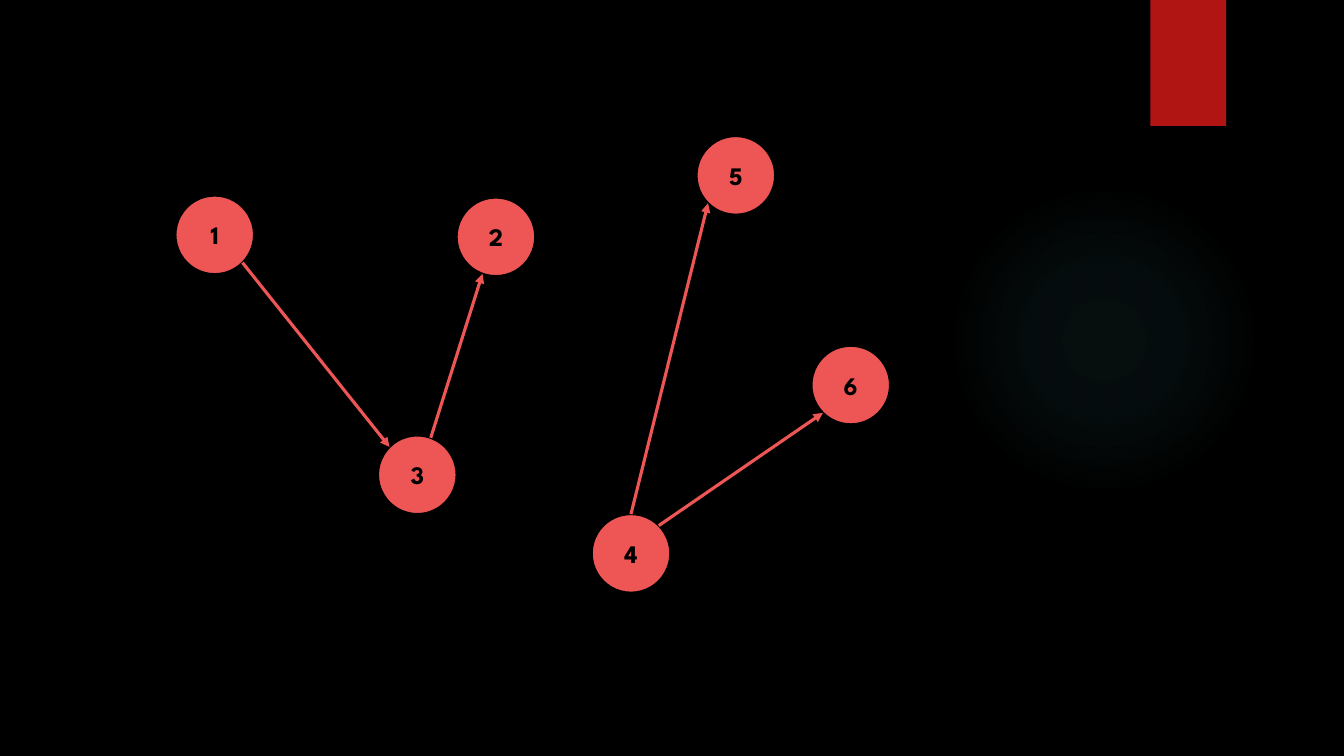
import math
from dataclasses import dataclass

import lxml.etree
import pptx
import pptx.dml.color
import pptx.enum.shapes
import pptx.enum.text
import pptx.oxml
import pptx.oxml.ns
import pptx.util

Pt = pptx.util.Pt
SHAPES = pptx.enum.shapes.MSO_SHAPE


@dataclass(frozen=True)
class Theme:
    background: str = "000000"
    node: str = "ED5654"
    ink: str = "000000"
    tab: str = "B01513"
    glow: str = "50B9C1"
    font: str = "League Spartan"
    label_size: float = 18
    outline: float = 1.5
    arrow: float = 2.25


THEME = Theme()
RADIUS = 28.08

# Node number -> centre
NODES = {
    1: (153.36, 167.76),
    2: (354.24, 169.2),
    3: (298.08, 339.12),
    4: (450.72, 395.28),
    5: (525.6, 125.28),
    6: (607.68, 275.04),
}

# From node, leaving angle, to node, arriving angle (degrees, clockwise from right)
EDGES = [
    (1, 45, 3, -135),
    (3, -70, 2, 110),
    (4, -90, 5, 135),
    (4, -45, 6, 135),
]


def rgb(value):
    return pptx.dml.color.RGBColor.from_string(value)


def apply_format(target, values):
    for name, value in values.items():
        setattr(target, name, value)


def add_plain_shape(page, kind, left, top, width, height, color):
    shape = page.shapes.add_shape(kind, Pt(left), Pt(top), Pt(width), Pt(height))
    shape.shadow.inherit = False
    shape.fill.solid()
    shape.fill.fore_color.rgb = rgb(color)
    shape.line.fill.background()
    return shape


def add_glow(page, left, top, size, stops):
    shape = add_plain_shape(page, SHAPES.OVAL, left, top, size, size, THEME.glow)
    stop_xml = "".join(
        f'<a:gs pos="{position * 1000}"><a:srgbClr val="{THEME.glow}">'
        f'<a:alpha val="{opacity * 1000}"/></a:srgbClr></a:gs>'
        for position, opacity in stops
    )
    gradient = pptx.oxml.parse_xml(
        f'<a:gradFill {pptx.oxml.ns.nsdecls("a")} rotWithShape="1">'
        f'<a:gsLst>{stop_xml}</a:gsLst><a:path path="circle">'
        '<a:fillToRect l="50000" t="50000" r="50000" b="50000"/>'
        '</a:path></a:gradFill>'
    )
    properties = shape.element.spPr
    properties.replace(properties.find(pptx.oxml.ns.qn("a:solidFill")), gradient)


def add_node(page, number, center):
    x, y = center
    shape = add_plain_shape(page, SHAPES.OVAL, x - RADIUS, y - RADIUS,
                            2 * RADIUS, 2 * RADIUS, THEME.node)
    shape.line.color.rgb = rgb(THEME.ink)
    shape.line.width = Pt(THEME.outline)
    box = shape.text_frame
    box.vertical_anchor = pptx.enum.text.MSO_ANCHOR.MIDDLE
    para = box.paragraphs[0]
    para.alignment = pptx.enum.text.PP_ALIGN.CENTER
    span = para.add_run()
    span.text = str(number)
    apply_format(span.font, {"name": THEME.font, "size": Pt(THEME.label_size), "bold": True})
    span.font.color.rgb = rgb(THEME.ink)


def rim_point(number, angle):
    x, y = NODES[number]
    turn = math.radians(angle)
    return Pt(x + RADIUS * math.cos(turn)), Pt(y + RADIUS * math.sin(turn))


def add_arrow(page, source, leaving, target, arriving):
    arrow = page.shapes.add_connector(
        pptx.enum.shapes.MSO_CONNECTOR.STRAIGHT,
        *rim_point(source, leaving), *rim_point(target, arriving))
    arrow.line.color.rgb = rgb(THEME.node)
    arrow.line.width = Pt(THEME.arrow)
    qn = pptx.oxml.ns.qn
    lxml.etree.SubElement(arrow.line._get_or_add_ln(), qn("a:tailEnd"), type="triangle")
    lxml.etree.SubElement(arrow.element.spPr, qn("a:effectLst"))


def main():
    deck = pptx.Presentation()
    apply_format(deck, {"slide_width": Pt(960), "slide_height": Pt(540)})
    page = deck.slides.add_slide(deck.slide_layouts[6])

    # Backdrop
    page.background.fill.solid()
    page.background.fill.fore_color.rgb = rgb(THEME.background)
    add_glow(page, 677.5, 131.8, 221.8, [(0, 7), (36, 6), (69, 0)])
    add_plain_shape(page, SHAPES.RECTANGLE, 821.8, 0, 54, 90, THEME.tab)

    # Directed graph
    for number, center in NODES.items():
        add_node(page, number, center)
    for edge in EDGES:
        add_arrow(page, *edge)

    deck.save("out.pptx")


if __name__ == "__main__":
    main()
